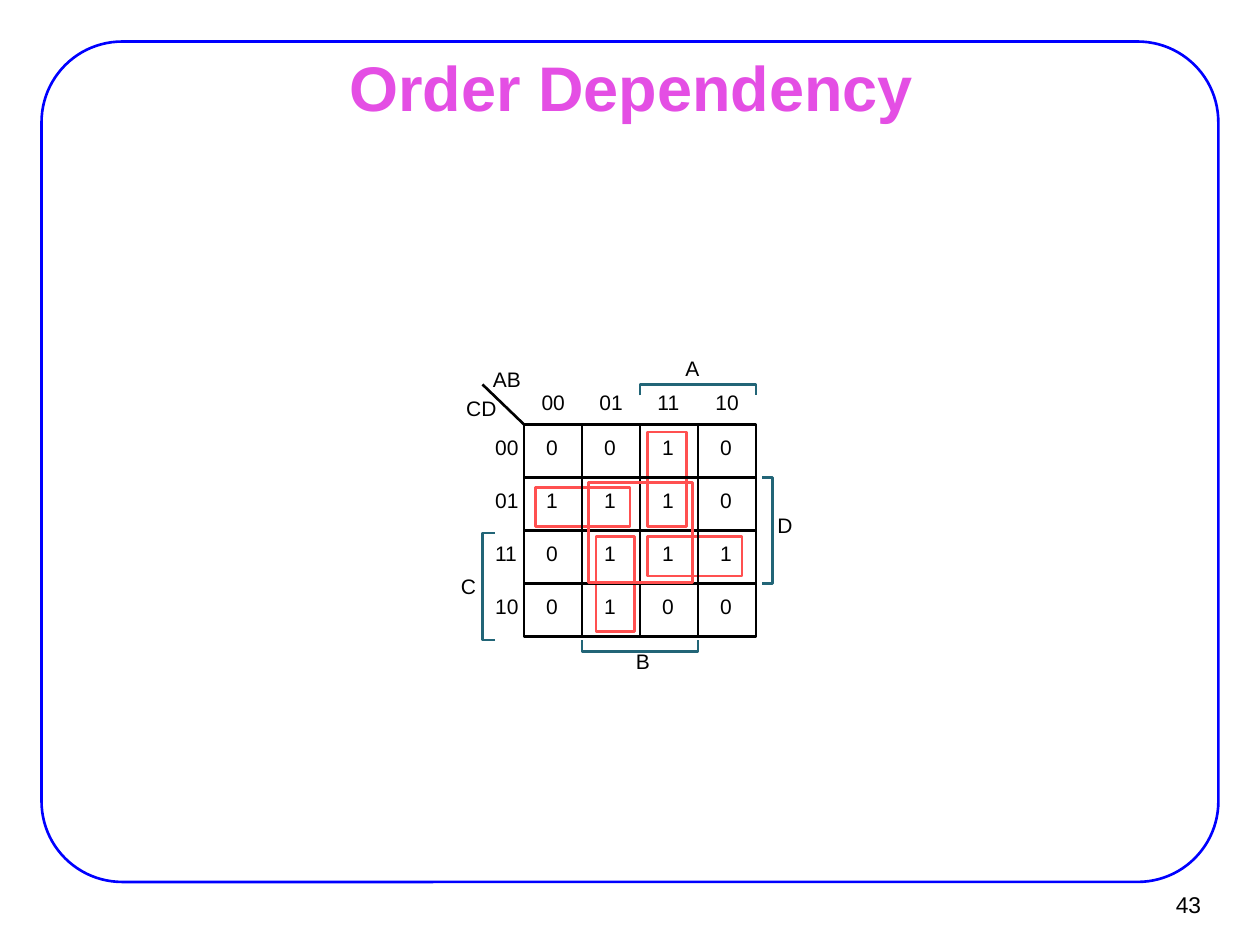
from lxml.etree import SubElement
from pptx import Presentation
from pptx.dml.color import RGBColor
from pptx.enum.shapes import MSO_CONNECTOR as Connector, MSO_SHAPE as Preset
from pptx.enum.text import MSO_ANCHOR as Anchor, PP_ALIGN as Align
from pptx.oxml.ns import qn
from pptx.util import Inches, Pt

BLACK, BLUE, PINK, RED, TEAL = "000000", "0000FF", "E44EE4", "FF5050", "226577"
CODES = ["00", "01", "11", "10"]
VALUES = ["0010", "1110", "0111", "0100"]
PAIRS = [(0.2, 1.19, 1.63, 0.74), (2.13, 2.12, 1.63, 0.74),
         (1.24, 2.12, 0.67, 1.79), (2.13, 0.14, 0.67, 1.79)]
QUAD = (1.11, 1.1, 1.8, 1.88)
BRACKETS = [
    [(2, -0.55), (2, -0.76), (4, -0.76), (4, -0.55)],
    [(-0.5, 4.07), (-0.72, 4.07), (-0.72, 2.05), (-0.5, 2.05)],
    [(3, 4.07), (3, 4.29), (1, 4.29), (1, 4.07)],
    [(4.11, 1), (4.28, 1), (4.28, 3), (4.11, 3)],
]
LABELS = [("AB", -0.54, -1.1), ("CD", -1, -0.55), ("A", 2.78, -1.31),
          ("B", 1.93, 4.24), ("C", -1.09, 2.81), ("D", 4.37, 1.67)]


def color(value):
    """Turn a hex string into a colour."""
    return RGBColor.from_string(value)


def outline(shape, line_color):
    """Leave a shape unfilled with a plain thin outline."""
    shape.shadow.inherit = False
    shape.fill.background()
    shape.line.color.rgb = color(line_color)
    shape.line.width = Pt(1.5)


def style_text(frame, text, size, text_color, align=Align.LEFT, bold=False):
    """Write one paragraph and format it."""
    paragraph = frame.paragraphs[0]
    paragraph.text = text
    paragraph.alignment = align
    font = paragraph.font
    font.name, font.size, font.bold = "Arial", Pt(size), bold
    font.color.rgb = color(text_color)


def add_frame(slide, width, height):
    """Draw the rounded border and the page number under it."""
    margin = Inches(0.33)
    border = slide.shapes.add_shape(Preset.ROUNDED_RECTANGLE, margin, margin,
                                    width - 2 * margin, height - Inches(0.83))
    border.adjustments[0] = 0.096
    outline(border, BLUE)
    number = slide.shapes.add_textbox(Inches(9.02), Inches(6.99), Inches(0.61), Inches(0.37))
    number.text_frame.word_wrap = True
    number.text_frame.vertical_anchor = Anchor.MIDDLE
    style_text(number.text_frame, "43", 13, BLACK, Align.RIGHT)


def add_title(slide, text):
    """Place and format the title placeholder."""
    title = slide.shapes.title
    title.left, title.top = Inches(0.76), Inches(0.44)
    title.width, title.height = Inches(8.5), Inches(0.49)
    frame = title.text_frame
    frame.vertical_anchor = Anchor.MIDDLE
    frame.margin_left = frame.margin_right = Inches(0.11)
    frame.margin_top = frame.margin_bottom = Inches(0.06)
    style_text(frame, text, 36, PINK, Align.CENTER, True)


def add_karnaugh_map(slide, left, top, width, height):
    """Draw the four by four map, its loops, codes and variable brackets."""
    shapes = slide.shapes
    column_width, row_height = width / 4, height / 4

    def point(column, row):
        """Convert grid units to a slide position."""
        return Inches(left + column * column_width), Inches(top + row * row_height)

    def box(column, row, columns, rows, line_color):
        """Outline a block of the grid."""
        size = Inches(columns * column_width), Inches(rows * row_height)
        outline(shapes.add_shape(Preset.RECTANGLE, *point(column, row), *size), line_color)

    def line(start, end):
        """Draw a black line between two grid points."""
        connector = shapes.add_connector(Connector.STRAIGHT, *point(*start), *point(*end))
        connector.line.color.rgb = color(BLACK)
        connector.line.width = Pt(1.5)
        SubElement(connector._element.spPr, qn("a:effectLst"))

    def label(text, column, row):
        """Write a short label from a grid point."""
        size = Inches(0.12 * len(text) + 0.04), Inches(0.2)
        frame = shapes.add_textbox(*point(column, row), *size).text_frame
        frame.margin_left = frame.margin_right = frame.margin_top = frame.margin_bottom = 0
        frame.word_wrap = True
        style_text(frame, text, 12, BLACK)

    for pair in PAIRS:
        box(*pair, RED)
    box(0, 0, 4, 4, BLACK)
    for index in range(1, 4):
        line((0, index), (4, index))
        line((index, 0), (index, 4))
    line((0, 0), (-0.72, -0.76))

    for index, (code, values) in enumerate(zip(CODES, VALUES)):
        label(code, index + 0.3, -0.67)
        label(code, -0.5, index + 0.19)
        for column, value in enumerate(values):
            label(value, column + 0.38, index + 0.19)

    for start, *rest in BRACKETS:
        builder = shapes.build_freeform(*point(*start))
        builder.add_line_segments([point(*corner) for corner in rest], close=False)
        outline(builder.convert_to_shape(), TEAL)
    for text, column, row in LABELS:
        label(text, column, row)
    box(*QUAD, RED)


def main():
    """Build and save the slide."""
    presentation = Presentation()
    presentation.slide_width, presentation.slide_height = Inches(10), Inches(7.5)
    slide = presentation.slides.add_slide(presentation.slide_layouts[5])
    add_frame(slide, presentation.slide_width, presentation.slide_height)
    add_title(slide, "Order Dependency")
    add_karnaugh_map(slide, 4.16, 3.37, 1.84, 1.68)
    presentation.save("out.pptx")


main()
